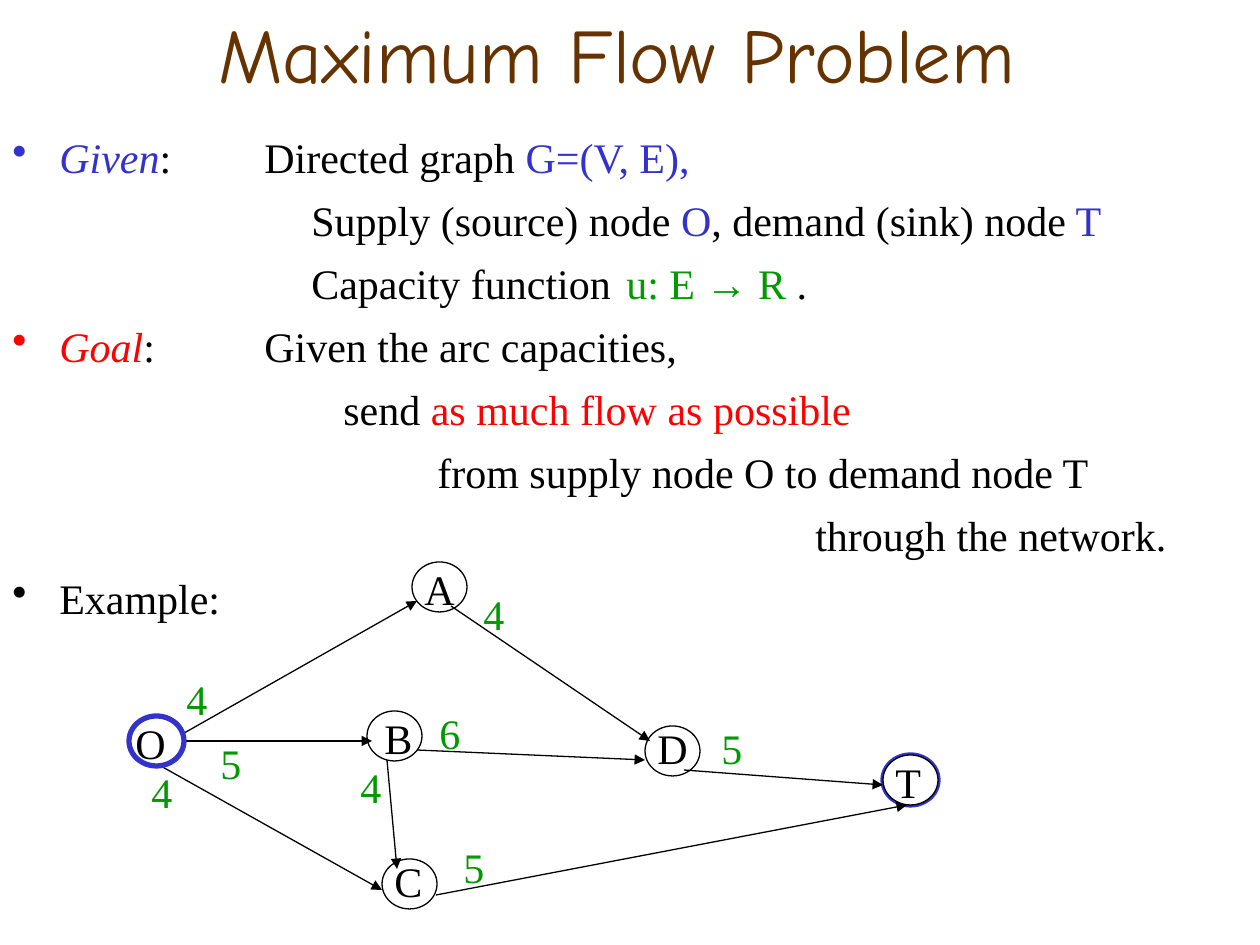
from dataclasses import dataclass
from lxml.etree import SubElement as Sub
from pptx import Presentation as Deck
from pptx.dml.color import RGBColor as Rgb
from pptx.enum.shapes import MSO_CONNECTOR as Conn, MSO_SHAPE as Kind
from pptx.enum.text import MSO_ANCHOR as Anchor, PP_ALIGN as Align
from pptx.oxml.ns import qn
from pptx.util import Emu, Pt


@dataclass(frozen=True)
class Theme:
    ink: str = "000000"
    paper: str = "FFFFFF"
    brown: str = "663300"
    blue: str = "3333CC"
    red: str = "FF0000"
    green: str = "009900"
    serif: str = "Times New Roman"
    sans: str = "Arial"
    hand: str = "Comic Neue"
    head: int = 44
    body: int = 24
    thin: float = 0.75
    thick: float = 3


T = Theme()
SCALE = 914400 / 126


def px(n):
    return Emu(round(n * SCALE))


class Page:
    def __init__(self, theme, slide):
        self.theme, self.slide = theme, slide
        self.shapes = slide.shapes

    def run(self, para, text, color, **style):
        run = para.add_run()
        run.text = text
        look = {"name": self.theme.serif, "size": Pt(self.theme.body), **style}
        for key, val in look.items():
            setattr(run.font, key, val)
        run.font.color.rgb = Rgb.from_string(color)

    def frame(self, x, y, w, h, **style):
        frame = self.shapes.add_textbox(px(x), px(y), px(w), px(h)).text_frame
        for key, val in {"word_wrap": True, **style}.items():
            setattr(frame, key, val)
        return frame

    def label(self, x, y, w, h, text, color):
        self.run(self.frame(x, y, w, h).paragraphs[0], text, color)

    def title(self, x, y, w, h, text):
        para = self.frame(x, y, w, h, vertical_anchor=Anchor.MIDDLE).paragraphs[0]
        para.alignment = Align.CENTER
        self.run(para, text, self.theme.brown,
                 name=self.theme.hand, size=Pt(self.theme.head))

    def lines(self, x, y, w, h, rows):
        frame = self.frame(x, y, w, h)
        for i, (left, dot, stop, runs) in enumerate(rows):
            para = frame.add_paragraph() if i else frame.paragraphs[0]
            para.space_before = Pt(7.2 if i else 0)
            self.indent(para, left, dot, stop)
            for text, color, *style in runs:
                self.run(para, text, color, **(style[0] if style else {}))

    def indent(self, para, left, dot, stop):
        props = para._p.get_or_add_pPr()
        props.set("marL", str(px(left)))
        props.set("indent", str(px(-HANG if dot else 0)))
        if dot:
            tint = Sub(props, qn("a:buClr"))
            Sub(tint, qn("a:srgbClr"), val=dot)
            Sub(props, qn("a:buChar"), char="•")
        else:
            Sub(props, qn("a:buNone"))
        if stop:
            tabs = Sub(props, qn("a:tabLst"))
            Sub(tabs, qn("a:tab"), pos=str(px(stop)), algn="l")

    def node(self, x, y, color, width):
        oval = self.shapes.add_shape(Kind.OVAL, px(x), px(y), px(55), px(50))
        oval.shadow.inherit = False
        oval.fill.solid()
        oval.fill.fore_color.rgb = Rgb.from_string(self.theme.paper)
        oval.line.color.rgb = Rgb.from_string(color)
        oval.line.width = Pt(width)

    def arrow(self, *ends):
        line = self.shapes.add_connector(Conn.STRAIGHT, *map(px, ends))
        line.line.color.rgb = Rgb.from_string(self.theme.ink)
        line.line.width = Pt(self.theme.thin)
        Sub(line.line._get_or_add_ln(), qn("a:tailEnd"), type="triangle")
        Sub(line._element.spPr, qn("a:effectLst"))


# Text rows: left edge, bullet colour, tab stop, runs
HANG, DEEP, STOP = 47, 299, 252
SLANT = {"italic": True}
ROWS = [
    (HANG, T.blue, STOP, [("Given", T.blue, SLANT), (":\tDirected graph ", T.ink),
                          ("G=(V, E),", T.blue)]),
    (DEEP, None, None, [("Supply (source) node", T.ink), (" O", T.blue),
                        (", demand (sink) node", T.ink), (" T", T.blue)]),
    (DEEP, None, 331, [("Capacity function\t", T.ink), ("u: E ", T.green),
                       ("→", T.green, {"name": T.sans}), (" R", T.green),
                       (" .", T.ink)]),
    (HANG, T.red, STOP, [("Goal", T.red, SLANT),
                         (":\tGiven the arc capacities,", T.ink)]),
    (331, None, None, [("send ", T.ink), ("as much flow as possible", T.red)]),
    (425, None, None, [("from supply node O to demand node T", T.ink)]),
    (803, None, None, [("through the network.", T.ink)]),
    (HANG, T.ink, None, [("Example:", T.ink)]),
]

# Nodes: oval corner, then name corner
NODES = {
    "D": (645, 726, 645, 716), "B": (367, 711, 372, 706),
    "C": (382, 859, 382, 849), "A": (412, 562, 412, 557),
    "T": (883, 755, 883, 750), "O": (129, 716, 123, 711),
}
ARCS = [
    (387, 760, 397, 869), (179, 736, 417, 601), (184, 741, 372, 741),
    (417, 750, 645, 760), (684, 770, 883, 785), (451, 606, 650, 741),
    (436, 895, 907, 805), (159, 765, 382, 890),
]
LOADS = [
    (174, 667, "4"), (471, 582, "4"), (208, 731, "5"), (427, 701, "6"),
    (348, 755, "4"), (139, 760, "4"), (709, 716, "5"), (451, 835, "5"),
]


def main():
    deck = Deck()
    deck.slide_width, deck.slide_height = px(1260), px(945)
    page = Page(T, deck.slides.add_slide(deck.slide_layouts[6]))

    # Heading and text
    page.node(*NODES["T"][:2], T.blue, T.thick)
    page.title(54, 0, 1126, 106, "Maximum Flow Problem")
    page.lines(0, 125, 1260, 820, ROWS)

    # Network
    for name, (x, y, *_) in NODES.items():
        if name != "O":
            page.node(x, y, T.ink, T.thin)
    for arc in ARCS:
        page.arrow(*arc)
    for x, y, load in LOADS:
        page.label(x, y, 49, 63, load, T.green)
    page.node(*NODES["O"][:2], T.blue, T.thick)
    for name, (*_, x, y) in NODES.items():
        page.label(x, y, 55, 63, name, T.ink)

    deck.save("out.pptx")


if __name__ == "__main__":
    main()
